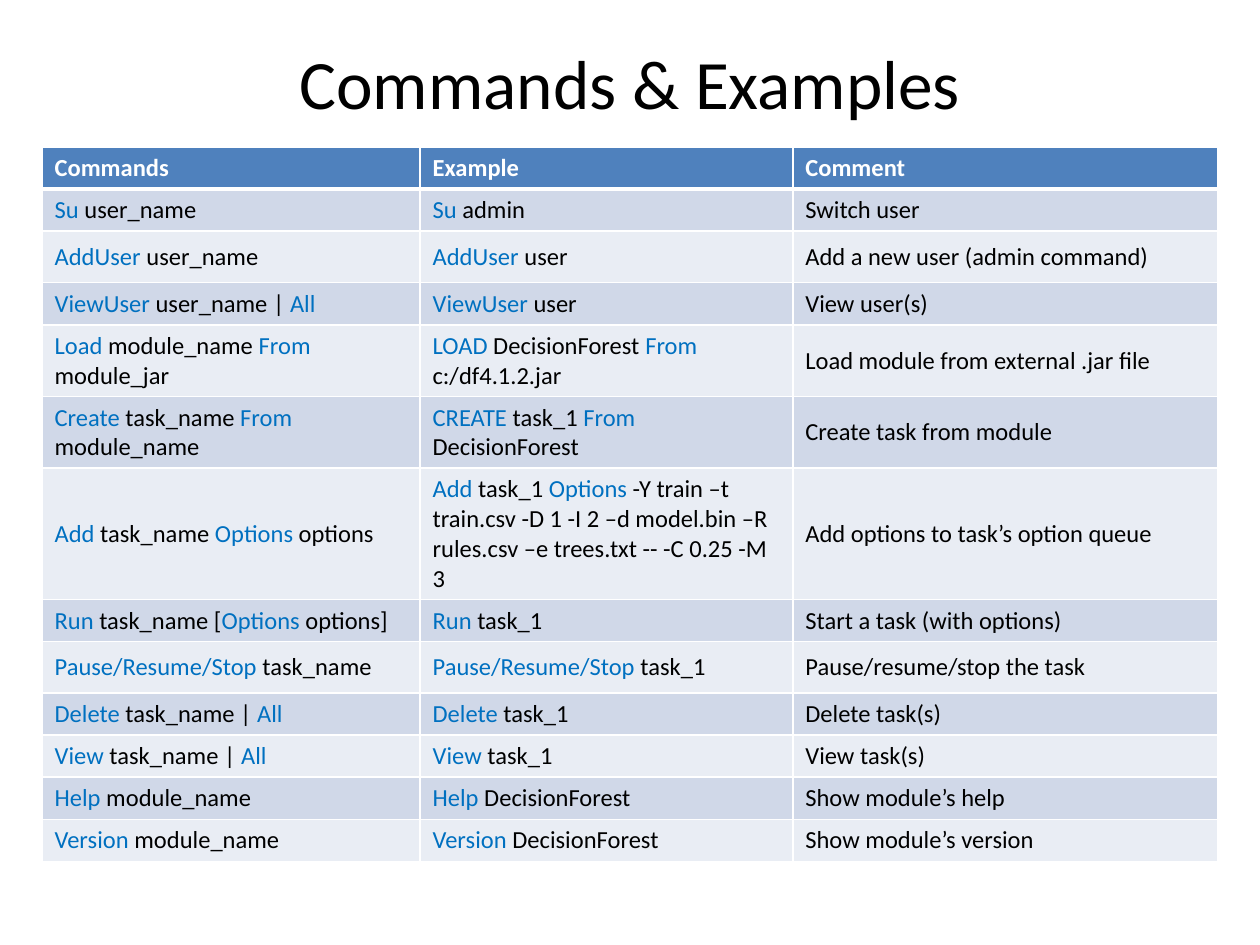
import pptx
import pptx.dml.color
import pptx.enum.text
import pptx.oxml
import pptx.oxml.ns
import pptx.util

Pt = pptx.util.Pt
MIDDLE = pptx.enum.text.MSO_ANCHOR.MIDDLE
CENTER = pptx.enum.text.PP_ALIGN.CENTER

FONT = "Calibri"
BLACK, WHITE, KEYWORD = "000000", "FFFFFF", "0070C0"
HEADER_FILL = "4F81BD"
BAND_FILLS = ["E9EDF4", "D0D8E8"]

COLUMN_WIDTHS = [216, 213, 243]
ONE_LINE, TALL, TWO_LINES, FOUR_LINES = 24, 29.5, 41, 75

HEADER = ["Commands", "Example", "Comment"]
# Row height, then the three cells; command keywords stand between asterisks.
COMMANDS = [
    (ONE_LINE, "*Su* user_name", "*Su* admin", "Switch user"),
    (TALL, "*AddUser* user_name", "*AddUser* user", "Add a new user (admin command)"),
    (ONE_LINE, "*ViewUser* user_name | *All*", "*ViewUser* user", "View user(s)"),
    (TWO_LINES, "*Load* module_name *From* module_jar",
     "*LOAD* DecisionForest *From* c:/df4.1.2.jar",
     "Load module from external .jar file"),
    (TWO_LINES, "*Create* task_name *From* module_name",
     "*CREATE* task_1 *From* DecisionForest", "Create task from module"),
    (FOUR_LINES, "*Add* task_name *Options* options",
     "*Add* task_1 *Options* -Y train –t train.csv -D 1 -I 2 –d model.bin "
     "–R rules.csv –e trees.txt -- -C 0.25 -M 3",
     "Add options to task’s option queue"),
    (ONE_LINE, "*Run* task_name [*Options* options]", "*Run* task_1",
     "Start a task (with options)"),
    (TALL, "*Pause/Resume/Stop* task_name", "*Pause/Resume/Stop* task_1",
     "Pause/resume/stop the task"),
    (ONE_LINE, "*Delete* task_name | *All*", "*Delete* task_1", "Delete task(s)"),
    (ONE_LINE, "*View* task_name | *All*", "*View* task_1", "View task(s)"),
    (ONE_LINE, "*Help* module_name", "*Help* DecisionForest", "Show module’s help"),
    (ONE_LINE, "*Version* module_name", "*Version* DecisionForest",
     "Show module’s version"),
]


def rgb(color):
    return pptx.dml.color.RGBColor.from_string(color)


def write(frame, text, size=14, color=BLACK, bold=False, align=None):
    """Fill a text frame, colouring the parts between asterisks as keywords."""
    para = frame.paragraphs[0]
    para.alignment = align
    for index, part in enumerate(text.split("*")):
        if part:
            span = para.add_run()
            span.text = part
            span.font.name = FONT
            span.font.size = Pt(size)
            span.font.bold = bold
            span.font.color.rgb = rgb(KEYWORD if index % 2 else color)


def set_borders(cell, top=1, bottom=1):
    """Draw white borders, with widths in points."""
    properties = cell._tc.get_or_add_tcPr()
    widths = {"lnL": 1, "lnR": 1, "lnT": top, "lnB": bottom}
    for position, (side, width) in enumerate(widths.items()):
        line = pptx.oxml.parse_xml(
            f'<a:{side} {pptx.oxml.ns.nsdecls("a")} w="{Pt(width)}">'
            f'<a:solidFill><a:srgbClr val="{WHITE}"/></a:solidFill></a:{side}>')
        properties.insert(position, line)


def add_title(page, left, top, width, height):
    box = page.shapes.add_textbox(Pt(left), Pt(top), Pt(width), Pt(height))
    frame = box.text_frame
    frame.word_wrap = True
    frame.vertical_anchor = MIDDLE
    write(frame, "Commands & Examples", size=39.6, align=CENTER)


def add_command_table(page, left, top, width, height):
    rows = [(ONE_LINE, *HEADER)] + COMMANDS
    table = page.shapes.add_table(len(rows), len(HEADER), Pt(left), Pt(top),
                                  Pt(width), Pt(height)).table
    for column, column_width in zip(table.columns, COLUMN_WIDTHS):
        column.width = Pt(column_width)
    for index, (row_height, *texts) in enumerate(rows):
        is_header = index == 0
        table.rows[index].height = Pt(row_height)
        for cell, text in zip(table.rows[index].cells, texts):
            cell.vertical_anchor = MIDDLE
            cell.fill.solid()
            cell.fill.fore_color.rgb = rgb(HEADER_FILL if is_header
                                           else BAND_FILLS[index % 2])
            set_borders(cell, top=3 if index == 1 else 1,
                        bottom=3 if is_header else 1)
            write(cell.text_frame, text, bold=is_header,
                  color=WHITE if is_header else BLACK)


def main():
    deck = pptx.Presentation()
    deck.slide_width, deck.slide_height = Pt(720), Pt(540)
    page = deck.slides.add_slide(deck.slide_layouts[6])
    add_title(page, 36, 27.4, 648, 38.2)
    add_command_table(page, 24, 84, sum(COLUMN_WIDTHS), 408)
    deck.save("out.pptx")


if __name__ == "__main__":
    main()
